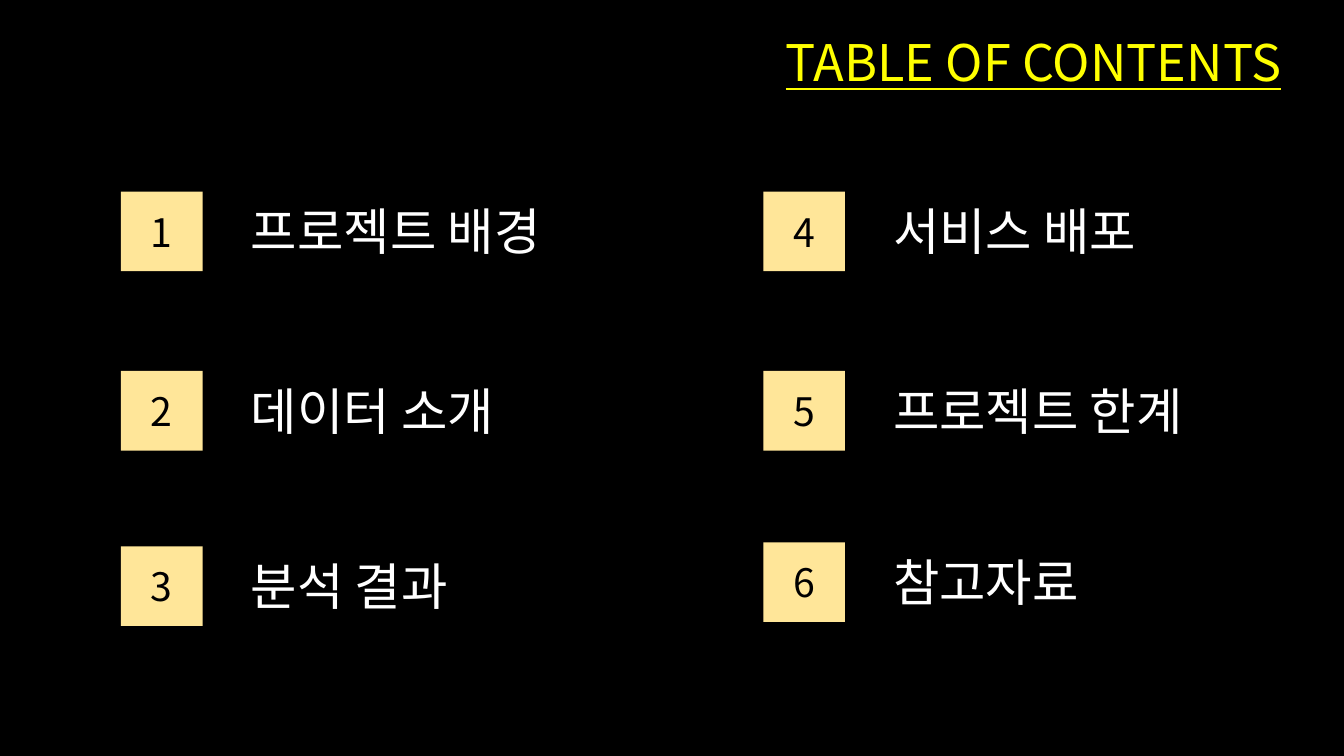
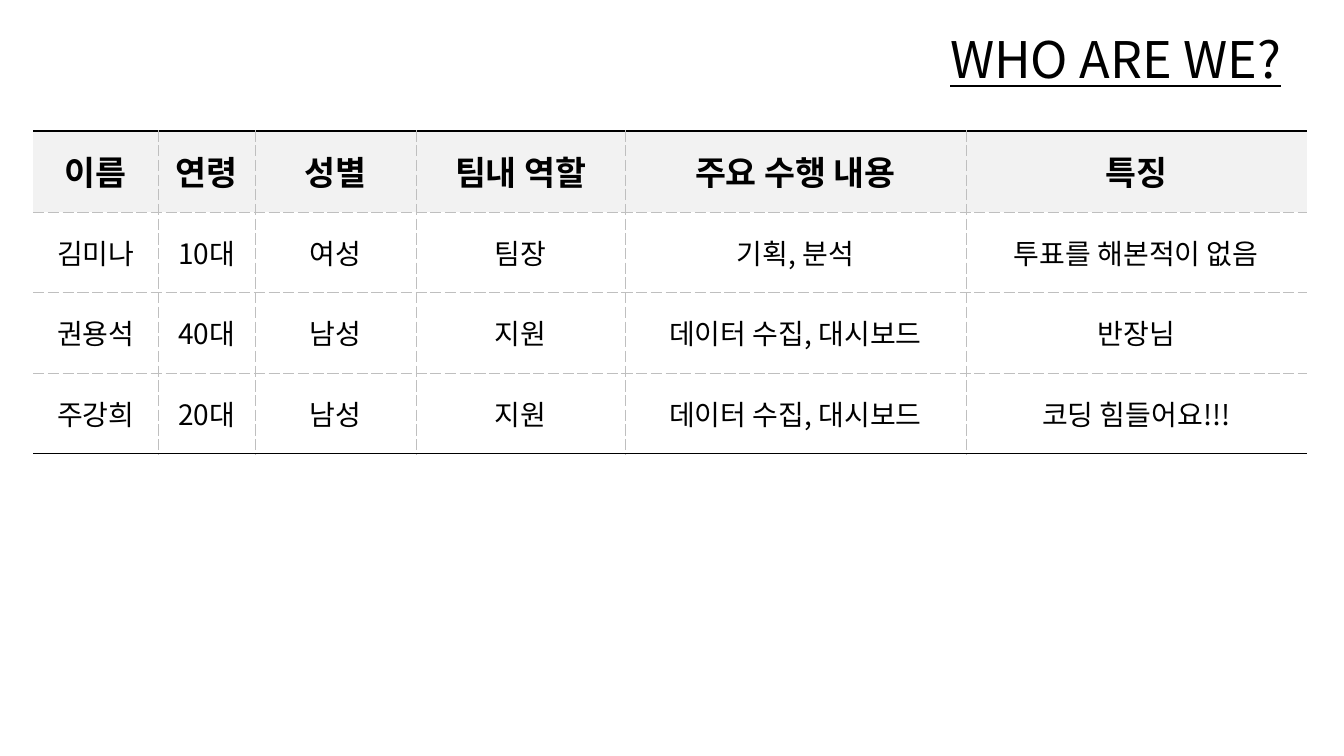
from lxml.etree import SubElement
from pptx import Presentation
from pptx.dml.color import RGBColor
from pptx.enum.shapes import MSO_SHAPE as Preset
from pptx.enum.text import MSO_ANCHOR as Anchor
from pptx.enum.text import MSO_AUTO_SIZE as AutoSize
from pptx.enum.text import PP_ALIGN as Align
from pptx.oxml.ns import qn
from pptx.util import Inches, Pt

BLACK = RGBColor(0x00, 0x00, 0x00)
WHITE = RGBColor(0xFF, 0xFF, 0xFF)
YELLOW = RGBColor(0xFF, 0xFF, 0x00)
SAND = RGBColor(0xFF, 0xE6, 0x99)
PALE_GREY = RGBColor(0xF2, 0xF2, 0xF2)
RULE_GREY = RGBColor(0xBF, 0xBF, 0xBF)

FONT = "Noto Sans CJK KR"
HEADING_SIZE = 36
LINE_HEIGHT = 0.71
TITLE_ONLY = 5

# Each column: left edge, then (label, tile top, label width) for each entry.
CONTENTS = [
    (1.2, [("프로젝트 배경", 1.9, 3.26), ("데이터 소개", 3.68, 2.77),
           ("분석 결과", 5.42, 2.29)]),
    (7.57, [("서비스 배포", 1.9, 2.77), ("프로젝트 한계", 3.68, 3.25),
            ("참고자료", 5.38, 2.14)]),
]
TILE_WIDTH, TILE_HEIGHT = 0.81, 0.79
LABEL_INDENT = 1.19

MEMBERS = [
    ("이름", "연령", "성별", "팀내 역할", "주요 수행 내용", "특징"),
    ("김미나", "10대", "여성", "팀장", "기획, 분석", "투표를 해본적이 없음"),
    ("권용석", "40대", "남성", "지원", "데이터 수집, 대시보드", "반장님"),
    ("주강희", "20대", "남성", "지원", "데이터 수집, 대시보드", "코딩 힘들어요!!!"),
]
COLUMN_WIDTHS = (1.24, 0.96, 1.6, 2.07, 3.38, 3.38)
ROW_HEIGHT = 0.8

SOLID_RULE = (BLACK, 1, "solid")
DASHED_RULE = (RULE_GREY, 0.25, "sysDash")


def inches(*lengths):
    return [Inches(length) for length in lengths]


def write(frame, text, size, color, align=Align.CENTER, bold=False, underline=False):
    paragraph = frame.paragraphs[0]
    paragraph.alignment = align
    run = paragraph.add_run()
    run.text = text
    font = run.font
    font.size, font.bold, font.underline = Pt(size), bold, underline
    font.color.rgb = color
    font.name = FONT
    SubElement(font._element, qn("a:ea"), typeface=FONT)


def fit_to_line(frame):
    frame.word_wrap = False
    frame.auto_size = AutoSize.SHAPE_TO_FIT_TEXT
    frame.vertical_anchor = Anchor.TOP


def add_titled_slide(presentation, title, box, background, color):
    slide = presentation.slides.add_slide(presentation.slide_layouts[TITLE_ONLY])
    slide.background.fill.solid()
    slide.background.fill.fore_color.rgb = background
    shape = slide.shapes.title
    shape.left, shape.top, shape.width, shape.height = inches(*box)
    fit_to_line(shape.text_frame)
    write(shape.text_frame, title, HEADING_SIZE, color, underline=True)
    return slide


def add_entry(slide, number, label, left, top, label_width):
    """Add a numbered tile with its label to the right."""
    tile = slide.shapes.add_shape(
        Preset.RECTANGLE, *inches(left, top, TILE_WIDTH, TILE_HEIGHT))
    tile.shadow.inherit = False
    tile.fill.solid()
    tile.fill.fore_color.rgb = SAND
    tile.line.fill.background()
    tile.text_frame.vertical_anchor = Anchor.MIDDLE
    write(tile.text_frame, str(number), 28, BLACK)

    label_top = top + (TILE_HEIGHT - LINE_HEIGHT) / 2
    box = slide.shapes.add_textbox(
        *inches(left + LABEL_INDENT, label_top, label_width, LINE_HEIGHT))
    fit_to_line(box.text_frame)
    write(box.text_frame, label, HEADING_SIZE, WHITE, Align.LEFT)


def set_borders(cell, **rules):
    """Set the cell's edges in schema order; None hides an edge."""
    properties = cell._tc.get_or_add_tcPr()
    for edge in ("L", "R", "T", "B"):
        line = SubElement(properties, qn(f"a:ln{edge}"))
        rule = rules[edge]
        if rule is None:
            SubElement(line, qn("a:noFill"))
            continue
        color, width, dash = rule
        line.set("w", str(Pt(width)))
        fill = SubElement(line, qn("a:solidFill"))
        SubElement(fill, qn("a:srgbClr"), val=str(color))
        SubElement(line, qn("a:prstDash"), val=dash)


def add_member_table(slide, left, top):
    last_row, last_column = len(MEMBERS) - 1, len(COLUMN_WIDTHS) - 1
    table = slide.shapes.add_table(
        len(MEMBERS), len(COLUMN_WIDTHS),
        *inches(left, top, sum(COLUMN_WIDTHS), ROW_HEIGHT * len(MEMBERS))).table
    table.first_row = table.horz_banding = False
    for column, width in zip(table.columns, COLUMN_WIDTHS):
        column.width = Inches(width)
    for row_index, values in enumerate(MEMBERS):
        table.rows[row_index].height = Inches(ROW_HEIGHT)
        header = row_index == 0
        for column_index, value in enumerate(values):
            cell = table.cell(row_index, column_index)
            cell.vertical_anchor = Anchor.MIDDLE
            write(cell.text_frame, value, 24 if header else 20, BLACK, bold=header)
            set_borders(
                cell,
                L=DASHED_RULE if column_index > 0 else None,
                R=DASHED_RULE if column_index < last_column else None,
                T=SOLID_RULE if header else DASHED_RULE,
                B=SOLID_RULE if row_index == last_row else DASHED_RULE)
            if header:
                cell.fill.solid()
                cell.fill.fore_color.rgb = PALE_GREY
            else:
                cell.fill.background()


def build_contents(presentation):
    slide = add_titled_slide(presentation, "TABLE OF CONTENTS",
                             (7.47, 0.26, 5.56, LINE_HEIGHT), BLACK, YELLOW)
    number = 0
    for left, entries in CONTENTS:
        for label, top, label_width in entries:
            number += 1
            add_entry(slide, number, label, left, top, label_width)


def build_team(presentation):
    slide = add_titled_slide(presentation, "WHO ARE WE?",
                             (9.06, 0.23, 4.01, LINE_HEIGHT), WHITE, BLACK)
    add_member_table(slide, 0.33, 1.3)


def main():
    presentation = Presentation()
    presentation.slide_width, presentation.slide_height = inches(13.33, 7.5)
    build_contents(presentation)
    build_team(presentation)
    presentation.save("out.pptx")


if __name__ == "__main__":
    main()
